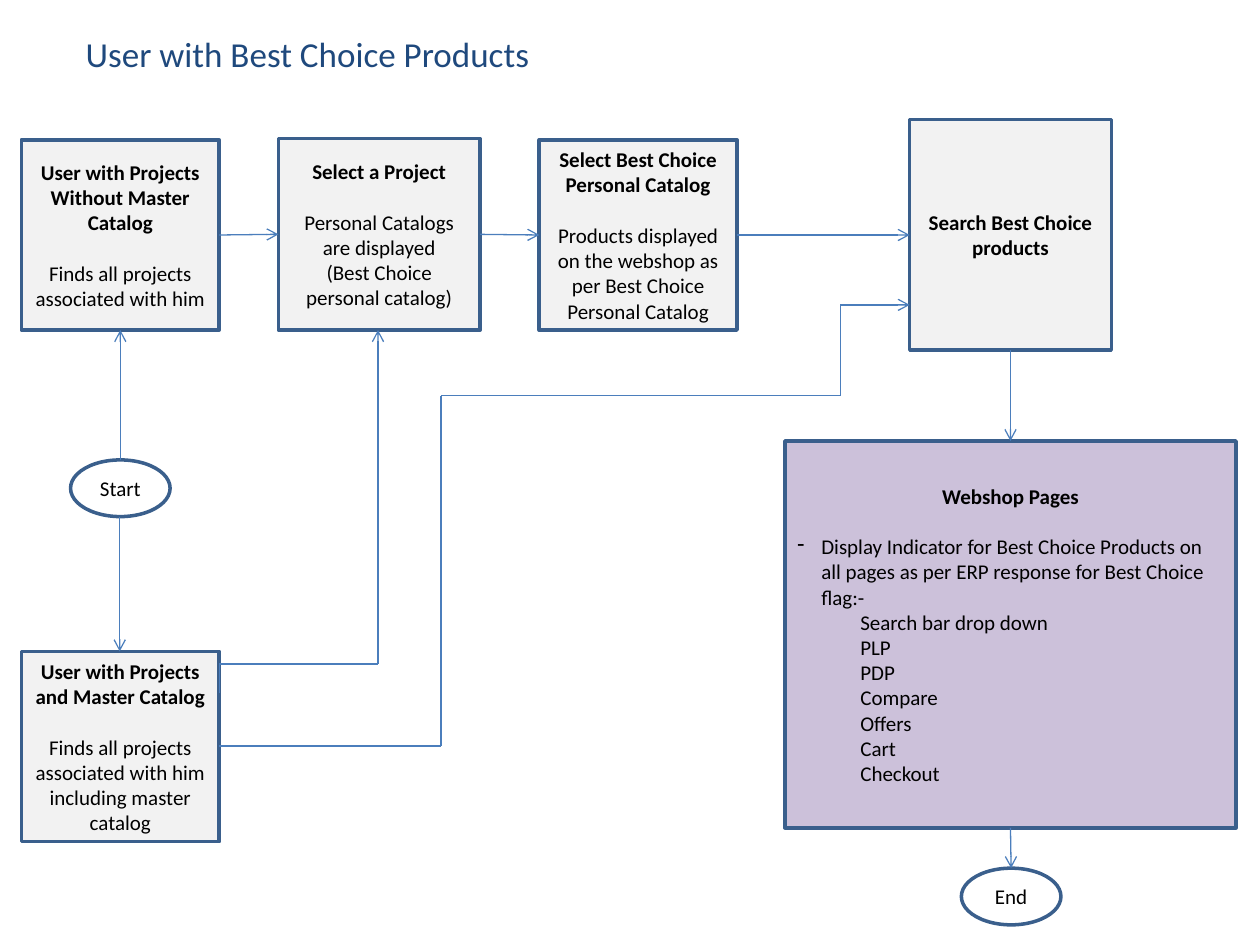
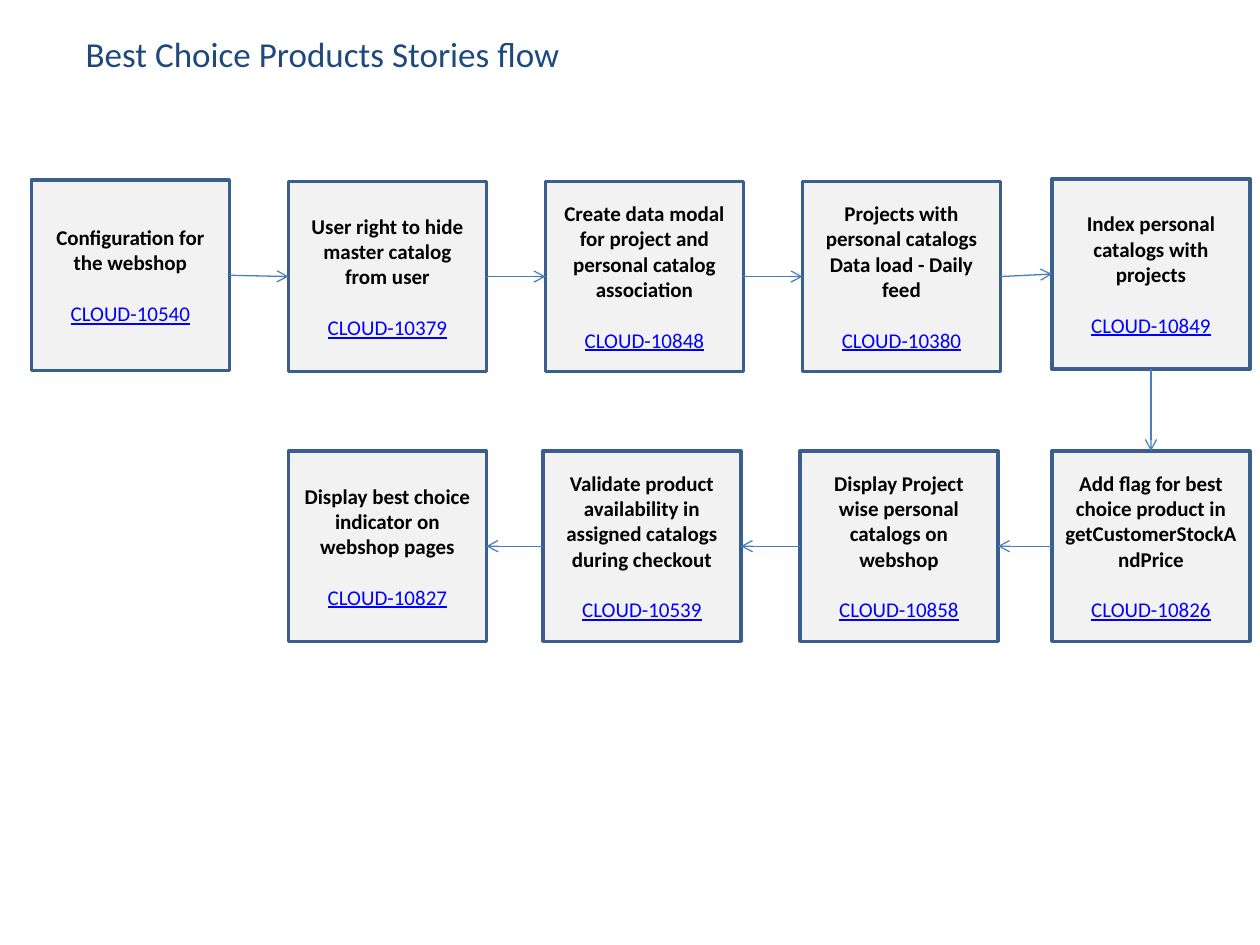
from itertools import pairwise

from lxml.etree import SubElement
from pptx import Presentation
from pptx.dml.color import RGBColor
from pptx.enum.shapes import MSO_CONNECTOR, MSO_SHAPE
from pptx.enum.text import MSO_ANCHOR, MSO_AUTO_SIZE, PP_ALIGN
from pptx.oxml.ns import qn
from pptx.util import Inches, Pt

COLORS = {
    "title": "1F497D", "text": "000000", "ticket": "0000FF", "border": "3A5F8C",
    "arrow": "4B7EBC", "step": "F2F2F2", "pages": "CCC1DA",
}
FONT = "Calibri"
LINE_GAP = 14.6  # one line of 12 point text
TOP, LEFT, BOTTOM, RIGHT = range(4)  # connection sites of a box


def color(name):
    return RGBColor.from_string(COLORS[name])


def write(paragraph, text, size=12, ink="text", bold=False, underline=False,
          align=PP_ALIGN.CENTER, before=0, margin=0, hanging=0, bullet=None, level=0):
    paragraph.alignment = align
    paragraph.space_before = Pt(before)
    paragraph.level = level
    properties = paragraph._p.get_or_add_pPr()
    properties.set("marL", str(Inches(margin)))
    properties.set("indent", str(Inches(-hanging)))
    if bullet:
        SubElement(properties, qn("a:buChar")).set("char", bullet)
    else:
        SubElement(properties, qn("a:buNone"))
    run = paragraph.add_run()
    run.text = text
    font = run.font
    font.name, font.size, font.bold, font.underline = FONT, Pt(size), bold, underline
    font.color.rgb = color(ink)


class FlowDeck:
    def __init__(self):
        self.presentation = Presentation()
        self.presentation.slide_width = Inches(10)
        self.presentation.slide_height = Inches(7.5)
        self.slide = None

    def add_slide(self, title, width):
        layout = self.presentation.slide_layouts.get_by_name("Title Only")
        self.slide = self.presentation.slides.add_slide(layout)
        shape = self.slide.shapes.title
        shape.left, shape.top = Inches(0.58), Inches(0.21)
        shape.width, shape.height = Inches(width), Inches(0.44)
        frame = shape.text_frame
        frame.word_wrap = True
        frame.auto_size = MSO_AUTO_SIZE.NONE
        frame.vertical_anchor = MSO_ANCHOR.TOP
        write(frame.paragraphs[0], title, size=20, ink="title", align=PP_ALIGN.LEFT)

    def shape(self, kind, left, top, width, height, lines, fill=None):
        """Each line is a text with a dict of its format."""
        shape = self.slide.shapes.add_shape(
            kind, Inches(left), Inches(top), Inches(width), Inches(height))
        shape.shadow.inherit = False
        if fill:
            shape.fill.solid()
            shape.fill.fore_color.rgb = color(fill)
        else:
            shape.fill.background()
        shape.line.color.rgb = color("border")
        shape.line.width = Pt(2)
        frame = shape.text_frame
        frame.word_wrap = True
        frame.vertical_anchor = MSO_ANCHOR.MIDDLE
        for index, (text, style) in enumerate(lines):
            paragraph = frame.add_paragraph() if index else frame.paragraphs[0]
            write(paragraph, text, **style)
        return shape

    def box(self, left, top, heading, lines=(), width=1.57, height=1.51, fill="step"):
        return self.shape(MSO_SHAPE.FLOWCHART_PROCESS, left, top, width, height,
                          [(heading, {"bold": True}), *lines], fill)

    def terminal(self, left, top, text):
        return self.shape(MSO_SHAPE.OVAL, left, top, 0.79, 0.45, [(text, {})])

    def line(self, start=(0, 0), end=(0, 0), arrow=True):
        connector = self.slide.shapes.add_connector(
            MSO_CONNECTOR.STRAIGHT, *map(Inches, (*start, *end)))
        connector.line.color.rgb = color("arrow")
        connector.line.width = Pt(0.75)
        if arrow:
            SubElement(connector.line._get_or_add_ln(), qn("a:tailEnd")).set("type", "arrow")
        SubElement(connector._element.spPr, qn("a:effectLst"))
        return connector

    def route(self, *points):
        """Draw a line through the points, with an arrowhead at the last one."""
        for start, end in pairwise(points):
            self.line(start, end, arrow=end == points[-1])

    def link(self, source, source_site, target, target_site):
        connector = self.line()
        connector.begin_connect(source, source_site)
        connector.end_connect(target, target_site)


def detail(text, **style):
    return text, {"before": LINE_GAP, **style}


deck = FlowDeck()

# Slide 1: user flow
deck.add_slide("User with Best Choice Products", 7.92)
without_master = deck.box(0.17, 1.11, "User with Projects Without Master Catalog",
                          [detail("Finds all projects associated with him")])
select_project = deck.box(2.21, 1.1, "Select a Project",
                          [detail("Personal Catalogs are displayed"),
                           ("(Best Choice personal catalog)", {})], width=1.6, height=1.52)
select_catalog = deck.box(
    4.28, 1.11, "Select Best Choice Personal Catalog",
    [detail("Products displayed on the webshop as per Best Choice Personal Catalog")])
search = deck.box(7.22, 0.95, "Search Best Choice products", width=1.6, height=1.83)
with_master = deck.box(
    0.17, 5.17, "User with Projects and Master Catalog",
    [detail("Finds all projects associated with him including master catalog")])

# Webshop pages panel
page_style = {"align": PP_ALIGN.LEFT, "margin": 0.5, "level": 1}
page_names = ["Search bar drop down", "PLP", "PDP", "Compare", "Offers", "Cart", "Checkout"]
indicator = detail(
    "Display Indicator for Best Choice Products on all pages as per ERP response "
    "for Best Choice flag:-",
    align=PP_ALIGN.LEFT, margin=0.19, hanging=0.19, bullet="-")
pages = deck.box(6.23, 3.5, "Webshop Pages",
                 [indicator, *((name, page_style) for name in page_names)],
                 width=3.58, height=3.07, fill="pages")
start = deck.terminal(0.56, 3.65, "Start")
end = deck.terminal(7.63, 6.89, "End")

# Arrows between the steps
for source, target in pairwise([without_master, select_project, select_catalog, search]):
    deck.link(source, RIGHT, target, LEFT)
deck.link(start, TOP, without_master, BOTTOM)
deck.link(search, BOTTOM, pages, TOP)
deck.link(pages, BOTTOM, end, TOP)
deck.route((0.95, 4.1), (0.95, 5.17))
deck.route((1.74, 5.5), (1.74, 5.27), (3, 5.27), (3, 2.62))
deck.route((1.74, 5.92), (3.5, 5.92), (3.5, 3.14), (6.67, 3.14), (6.67, 2.42), (7.22, 2.42))

# Slide 2: stories, first row to the right and second row back to the left
deck.add_slide("Best Choice Products Stories flow", 4.42)
first_row = [
    (0.25, 1.43, "Configuration for the webshop", 10540),
    (2.29, 1.44, "User right to hide master catalog from user", 10379),
    (4.33, 1.44, "Create data modal for project and personal catalog association", 10848),
    (6.37, 1.44, "Projects with personal catalogs Data load - Daily feed", 10380),
    (8.35, 1.42, "Index personal catalogs with projects", 10849),
]
second_row = [
    (8.35, 3.58, "Add flag for best choice product in getCustomerStockAndPrice", 10826),
    (6.35, 3.58, "Display Project wise personal catalogs on webshop", 10858),
    (4.31, 3.58, "Validate product availability in assigned catalogs during checkout", 10539),
    (2.29, 3.58, "Display best choice indicator on webshop pages", 10827),
]
first_boxes, second_boxes = (
    [deck.box(left, top, story,
              [detail(f"CLOUD-{ticket}", ink="ticket", underline=True)])
     for left, top, story, ticket in row]
    for row in (first_row, second_row))
for source, target in pairwise(first_boxes):
    deck.link(source, RIGHT, target, LEFT)
deck.link(first_boxes[-1], BOTTOM, second_boxes[0], TOP)
for source, target in pairwise(second_boxes):
    deck.link(source, LEFT, target, RIGHT)

deck.presentation.save("out.pptx")
